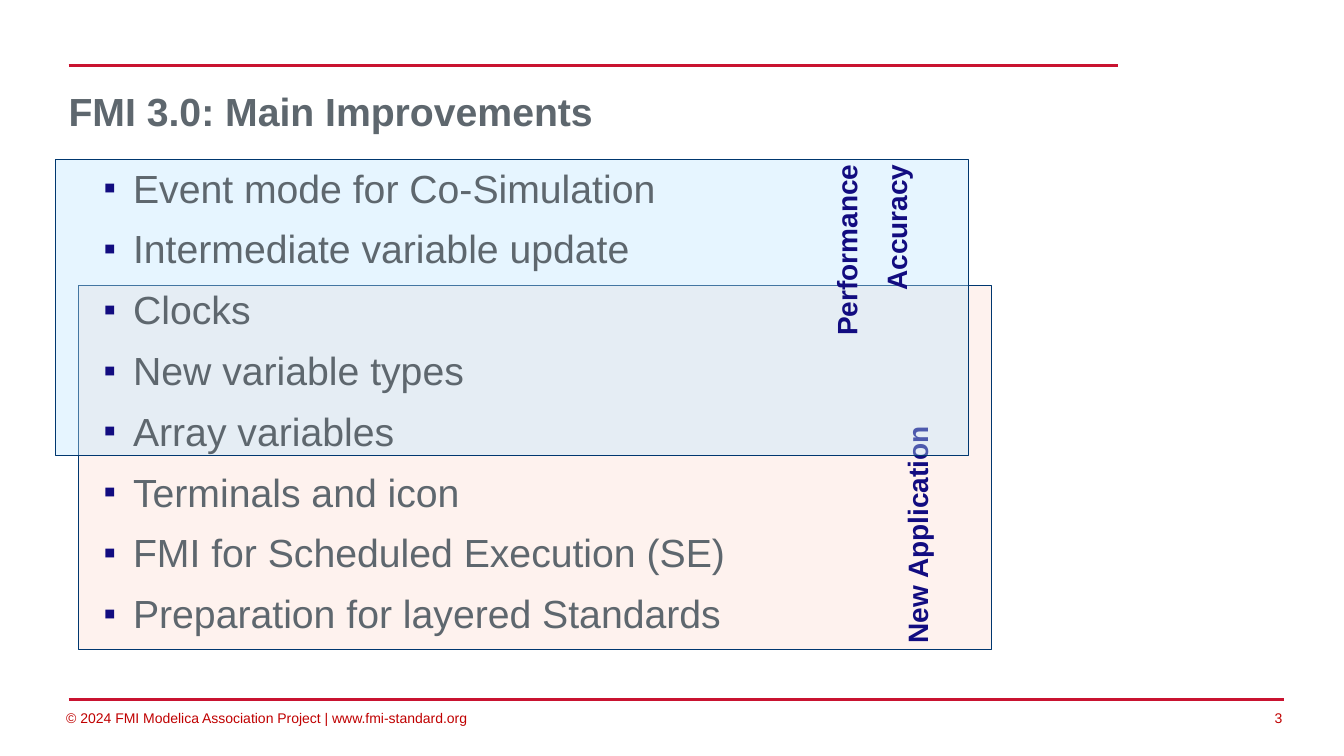
from lxml import etree
from pptx import Presentation
from pptx.dml.color import RGBColor
from pptx.enum.shapes import MSO_CONNECTOR, MSO_SHAPE
from pptx.enum.text import MSO_ANCHOR, PP_ALIGN
from pptx.oxml.ns import qn
from pptx.util import Pt

RECTANGLE = MSO_SHAPE.RECTANGLE
STRAIGHT = MSO_CONNECTOR.STRAIGHT
LEFT, RIGHT = PP_ALIGN.LEFT, PP_ALIGN.RIGHT
TOP, MIDDLE = MSO_ANCHOR.TOP, MSO_ANCHOR.MIDDLE
TITLE_ONLY = 5
COLORS = {
    "grey": "5E676E", "navy": "120C80", "rule": "C91330", "footer": "C00000",
    "outline": "00376F", "peach": "FDD9CC", "sky": "BBE6FF",
}
IMPROVEMENTS = [
    "Event mode for Co-Simulation",
    "Intermediate variable update",
    "Clocks",
    "New variable types",
    "Array variables",
    "Terminals and icon",
    "FMI for Scheduled Execution (SE)",
    "Preparation for layered Standards",
]
COPYRIGHT = "© 2024 FMI Modelica Association Project | www.fmi-standard.org"


class SlideBuilder:
    """Draw styled elements on one slide, with lengths in points."""

    def __init__(self, slide):
        self.slide = slide
        self.font = "Arial"

    def color(self, name):
        return RGBColor.from_string(COLORS[name])

    def apply(self, target, values):
        for name, value in values.items():
            setattr(target, name, value)

    def fill_frame(self, frame, lines, size, color, bold=False, align=LEFT,
                   anchor=TOP, wrap=True, spacing=None, gap=0, bullet=None):
        self.apply(frame, {
            "margin_left": 0, "margin_top": 0, "margin_right": 0,
            "margin_bottom": 0, "vertical_anchor": anchor, "word_wrap": wrap,
        })
        for index, line in enumerate(lines):
            paragraph = frame.paragraphs[0] if index == 0 else frame.add_paragraph()
            paragraph.text = line
            self.apply(paragraph, {
                "alignment": align, "line_spacing": spacing, "space_after": Pt(gap),
            })
            if bullet:
                self.add_bullet(paragraph, bullet)
            self.apply(paragraph.font, {
                "name": self.font, "size": Pt(size), "bold": bold,
            })
            paragraph.font.color.rgb = self.color(color)

    def add_bullet(self, paragraph, mark):
        properties = paragraph._p.get_or_add_pPr()
        properties.set("marL", str(Pt(42.5)))
        properties.set("indent", str(Pt(-21)))
        tint = etree.SubElement(properties, qn("a:buClr"))
        etree.SubElement(tint, qn("a:srgbClr"), val=COLORS["navy"])
        etree.SubElement(properties, qn("a:buSzPct"), val="90000")
        etree.SubElement(properties, qn("a:buFont"), typeface=self.font)
        etree.SubElement(properties, qn("a:buChar"), char=mark)

    def title(self, words, box):
        heading = self.slide.shapes.title
        self.apply(heading, dict(zip(("left", "top", "width", "height"), map(Pt, box))))
        self.fill_frame(heading.text_frame, [words], 28, "grey", bold=True,
                        anchor=MIDDLE, spacing=0.95)

    def text(self, lines, box, size, color, vertical=False, **style):
        frame = self.slide.shapes.add_textbox(*map(Pt, box)).text_frame
        self.fill_frame(frame, lines, size, color, **style)
        if vertical:
            frame._txBody.bodyPr.set("vert", "vert270")

    def rule(self, left, right, y):
        line = self.slide.shapes.add_connector(STRAIGHT, *map(Pt, (left, y, right, y)))
        line.line.color.rgb = self.color("rule")
        line.line.width = Pt(2)
        etree.SubElement(line._element.spPr, qn("a:effectLst"))

    def panel(self, box, color, opacity):
        area = self.slide.shapes.add_shape(RECTANGLE, *map(Pt, box))
        area.shadow.inherit = False
        area.fill.solid()
        area.fill.fore_color.rgb = self.color(color)
        tint = area._element.spPr.find(qn("a:solidFill")).find(qn("a:srgbClr"))
        etree.SubElement(tint, qn("a:alpha"), val=str(opacity * 1000))
        area.line.color.rgb = self.color("outline")
        area.line.width = Pt(0.75)


def main():
    deck = Presentation()
    deck.slide_width, deck.slide_height = Pt(960), Pt(540)
    builder = SlideBuilder(deck.slides.add_slide(deck.slide_layouts[TITLE_ONLY]))

    builder.title("FMI 3.0: Main Improvements", (49, 55.5, 869, 51))
    builder.rule(49, 798.5, 46.8)
    builder.rule(49, 917.3, 499.7)
    builder.text([COPYRIGHT], (47.3, 507, 290, 12), 10, "footer", wrap=False)
    builder.text(["3"], (890, 507, 26, 12), 10, "footer", align=RIGHT)

    builder.panel((56.2, 203.8, 652.3, 259.9), "peach", 32)
    builder.text(["New Application"], (643.5, 290, 23, 169.5), 20, "navy",
                 vertical=True, bold=True, anchor=MIDDLE)
    builder.panel((39.6, 113.8, 652.3, 211.7), "sky", 36)
    builder.text(["Performance", "Accuracy"], (592.5, 117.5, 58, 150), 20, "navy",
                 vertical=True, bold=True, align=RIGHT, gap=11.5)
    builder.text(IMPROVEMENTS, (52.6, 117, 535, 373), 28, "grey", gap=9.8, bullet="▪")

    deck.save("out.pptx")


if __name__ == "__main__":
    main()
